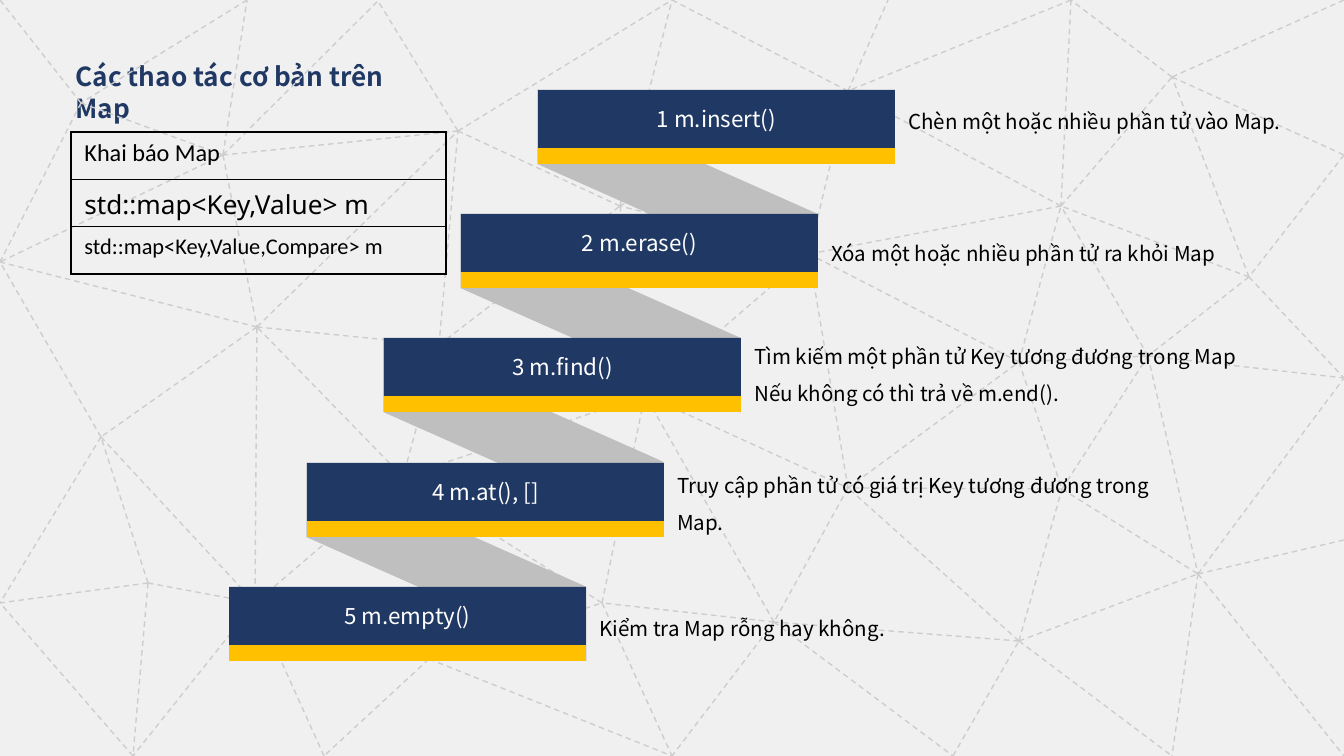
from pptx import Presentation
from pptx.dml.color import RGBColor
from pptx.enum.dml import MSO_LINE
from pptx.enum.shapes import MSO_CONNECTOR, MSO_SHAPE
from pptx.enum.text import MSO_ANCHOR, MSO_AUTO_SIZE, PP_ALIGN
from pptx.oxml import parse_xml
from pptx.oxml.ns import nsdecls
from pptx.util import Pt

SCALE = 914400 / 134.4
FONT = "Noto Sans CJK SC"
NAVY, GOLD, GRAY, BLACK = "203864", "FFC000", "BFBFBF", "000000"

NODES = {
    "a": (223, 155), "b": (247, 0), "c": (0, 262), "d": (378, 1),
    "e": (458, 131), "f": (257, 327), "g": (439, 345), "h": (403, 477),
    "i": (255, 603), "j": (101, 437), "k": (0, 603), "l": (148, 583),
    "m": (133, 756), "n": (429, 659), "o": (324, 756), "p": (602, 603),
    "q": (672, 756), "r": (645, 395), "s": (620, 206), "t": (672, 0),
    "u": (848, 91), "v": (809, 254), "w": (848, 488), "x": (774, 622),
    "y": (888, 0), "z": (1061, 206), "A": (1019, 362), "B": (1062, 489),
    "C": (1019, 641), "D": (953, 756), "E": (1172, 756), "F": (1148, 356),
    "G": (1172, 77), "H": (1071, 0), "I": (1344, 0), "J": (1344, 155),
    "K": (1249, 277), "L": (1344, 378), "M": (1198, 574), "N": (1344, 756),
    "O": (1344, 540), "P": (81, 103), "Q": (0, 0),
}
EDGES = (
    "ab ac ad ea af fe fc fg gh hf hi if fj ji jc jk lk im mk in nh no oi "
    "np nq pq ph pr rh gr ge gs sr se ed et st tu us uv vs vr rw wv wx xp "
    "xq uy zu zv wA Az AB Bw Cw xD DC Cx CB CE Fz zG GH GI GJ JK KG Kz KF "
    "KL BM ML MN ME Av BF FL FA FM Hz xr lj li lm CM MO bP Pa Pc PQ Hu"
)
STEPS = [
    ("1 m.insert()", "Chèn một hoặc nhiều phần tử vào Map.", 90, 418, 51),
    ("2 m.erase()", "Xóa một hoặc nhiều phần tử ra khỏi Map", 222, 493, 51),
    ("3 m.find()", "Tìm kiếm một phần tử Key tương đương trong Map "
     "Nếu không có thì trả về m.end().", 325, 513, 89),
    ("4 m.at(), []", "Truy cập phần tử có giá trị Key tương đương trong Map.",
     454, 532, 89),
    ("5 m.empty()", "Kiểm tra Map rỗng hay không.", 597, 517, 51),
]
ROWS = [
    ("Khai báo Map", 13, "Calibri"),
    ("std::map<Key,Value> m", 14, "Noto Sans"),
    ("std::map<Key,Value,Compare> m", 12, "Calibri"),
]


def px(*nums):
    return [round(num * SCALE) for num in nums]


def color(code):
    return RGBColor.from_string(code)


def write(frame, text, size, code, font=FONT, bold=False):
    frame.text = text
    para = frame.paragraphs[0]
    style = para.runs[0].font
    style.name, style.size, style.bold = font, Pt(size), bold
    style.color.rgb = color(code)
    return para


def add_edge(slide, start, end):
    line = slide.shapes.add_connector(
        MSO_CONNECTOR.STRAIGHT, *px(*start, *end))
    line.line.color.rgb = color("CDCDCD")
    line.line.width = Pt(0.75)
    line.line.dash_style = MSO_LINE.DASH
    line._element.spPr.append(parse_xml(f"<a:effectLst {nsdecls('a')}/>"))


def add_block(slide, kind, box, code):
    block = slide.shapes.add_shape(kind, *px(*box))
    block.shadow.inherit = False
    block.fill.solid()
    block.fill.fore_color.rgb = color(code)
    block.line.fill.background()
    return block


def add_band(slide, left, top):
    box = (left + 40, top - 41, 199, 280)
    band = add_block(slide, MSO_SHAPE.PARALLELOGRAM, box, GRAY)
    band.rotation = 90
    band.adjustments[0] = 0.625


def add_card(slide, left, top, label):
    add_block(slide, MSO_SHAPE.RECTANGLE, (left, top + 58, 357, 16), GOLD)
    card = add_block(slide, MSO_SHAPE.RECTANGLE, (left, top, 357, 58), NAVY)
    card.text_frame.vertical_anchor = MSO_ANCHOR.MIDDLE
    para = write(card.text_frame, label, 12, "FFFFFF")
    para.alignment = PP_ALIGN.CENTER


def add_note(slide, box, text):
    frame = slide.shapes.add_textbox(*px(*box)).text_frame
    frame.word_wrap = True
    write(frame, text, 11, BLACK).line_spacing = 1.5


def set_title(slide, text):
    title = slide.shapes.title
    title.left, title.top, title.width, title.height = px(62, 54, 368, 43)
    frame = title.text_frame
    frame.word_wrap = True
    frame.auto_size = MSO_AUTO_SIZE.NONE
    frame.vertical_anchor = MSO_ANCHOR.TOP
    para = write(frame, text, 14, NAVY, bold=True)
    para.alignment = PP_ALIGN.LEFT


def add_frame(cell):
    props = cell._tc.get_or_add_tcPr()
    for side in "LRTB":
        props.append(parse_xml(
            f'<a:ln{side} {nsdecls("a")} w="12700"><a:solidFill>'
            f'<a:srgbClr val="{BLACK}"/></a:solidFill></a:ln{side}>'))
    cell.fill.background()


def add_grid(slide):
    table = slide.shapes.add_table(
        len(ROWS), 1, *px(71, 132, 375, 142)).table
    table.first_row = table.horz_banding = False
    for index, (text, size, font) in enumerate(ROWS):
        cell = table.cell(index, 0)
        write(cell.text_frame, text, size, BLACK, font)
        add_frame(cell)


def main():
    deck = Presentation()
    deck.slide_width, deck.slide_height = px(1344, 756)
    slide = deck.slides.add_slide(deck.slide_layouts[5])
    slide.background.fill.solid()
    slide.background.fill.fore_color.rgb = color("F0F0F0")
    for start, end in EDGES.split():
        add_edge(slide, NODES[start], NODES[end])
    spots = [(538 - 309 * i // 4, 90 + 622 * i // 5)
             for i in range(len(STEPS))]
    for left, top in spots[:-1]:
        add_band(slide, left, top)
    for (left, top), (label, text, y, wide, high) in zip(spots, STEPS):
        add_card(slide, left, top, label)
        add_note(slide, (left + 357, y, wide, high), text)
    set_title(slide, "Các thao tác cơ bản trên Map")
    add_grid(slide)
    deck.save("out.pptx")


if __name__ == "__main__":
    main()
